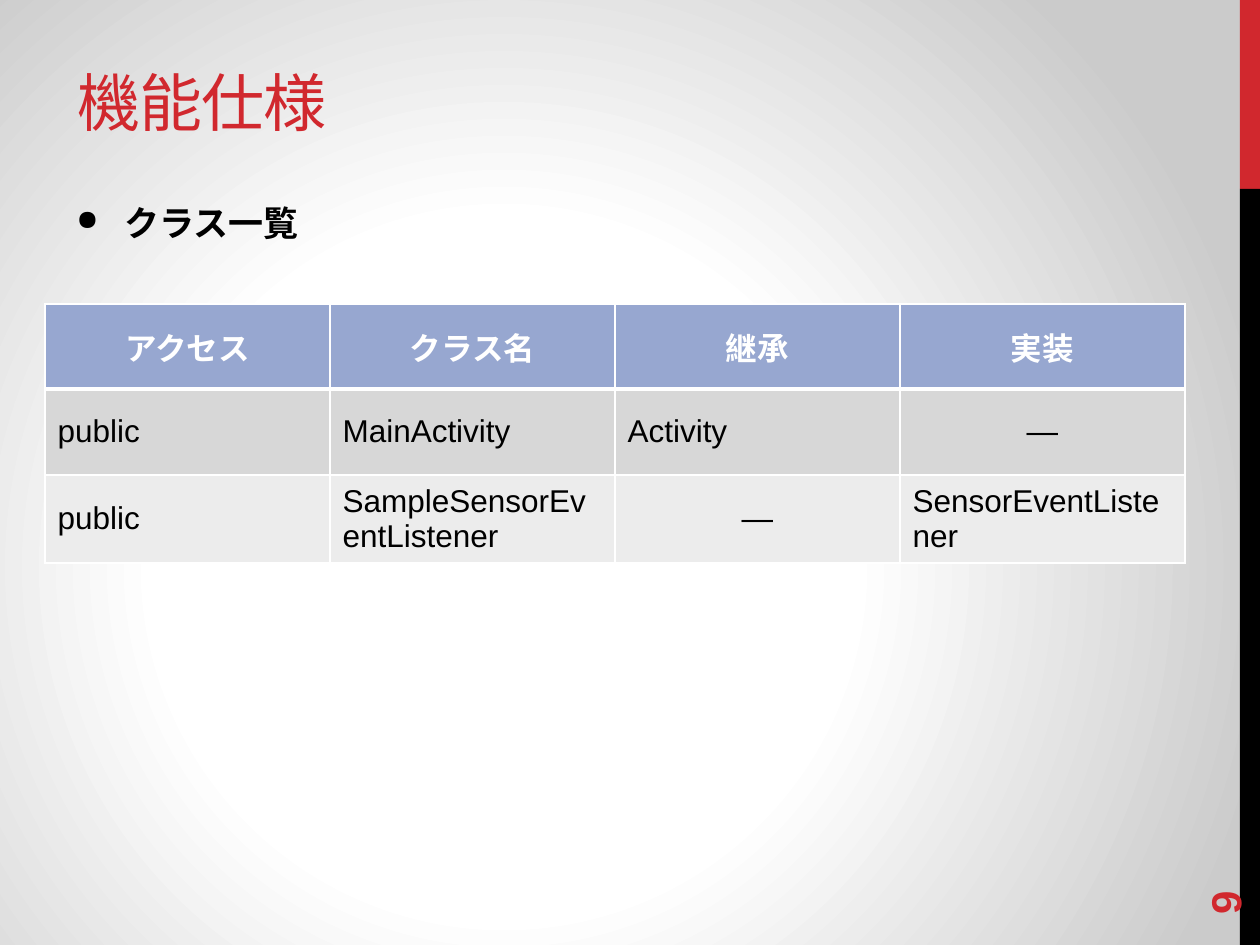
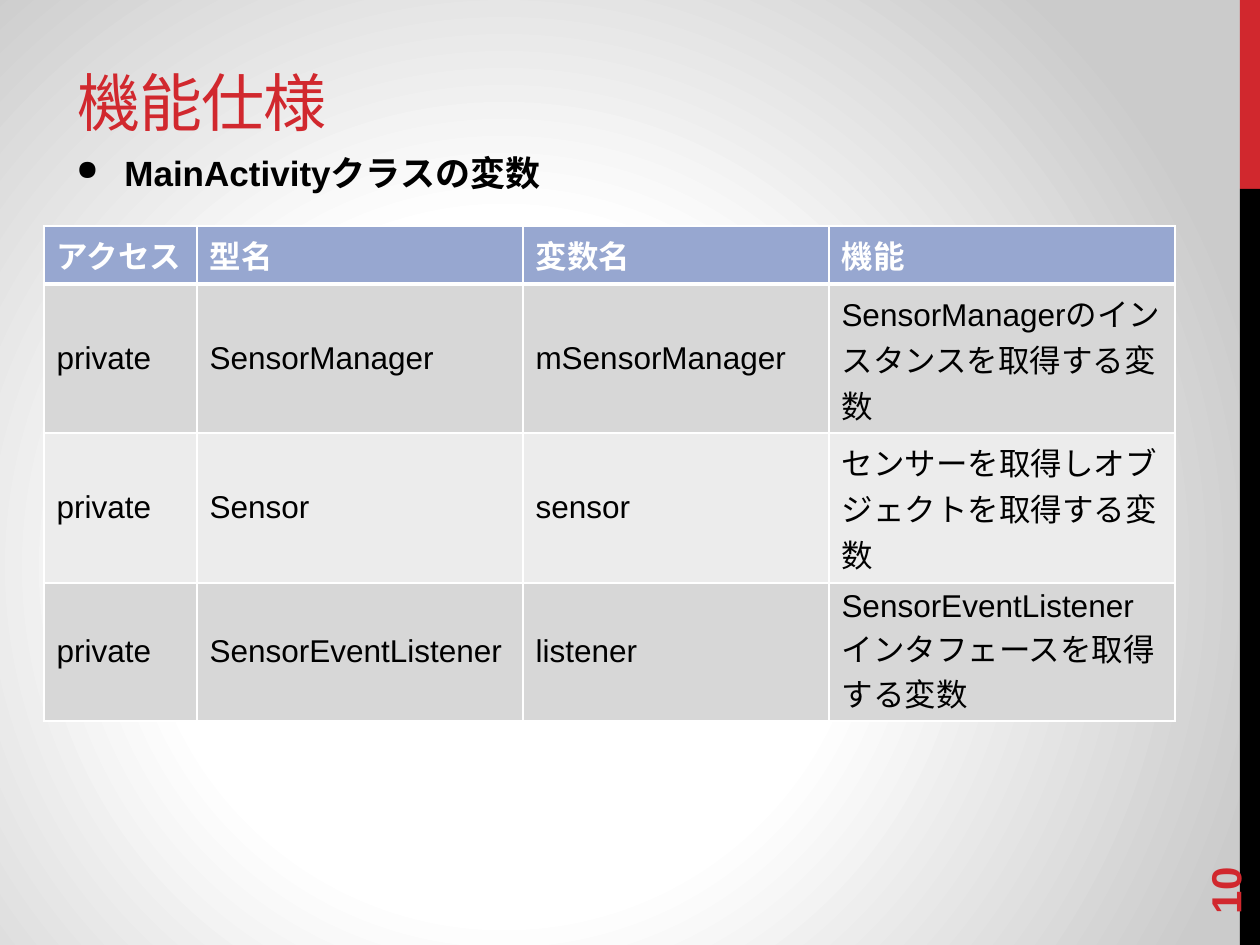
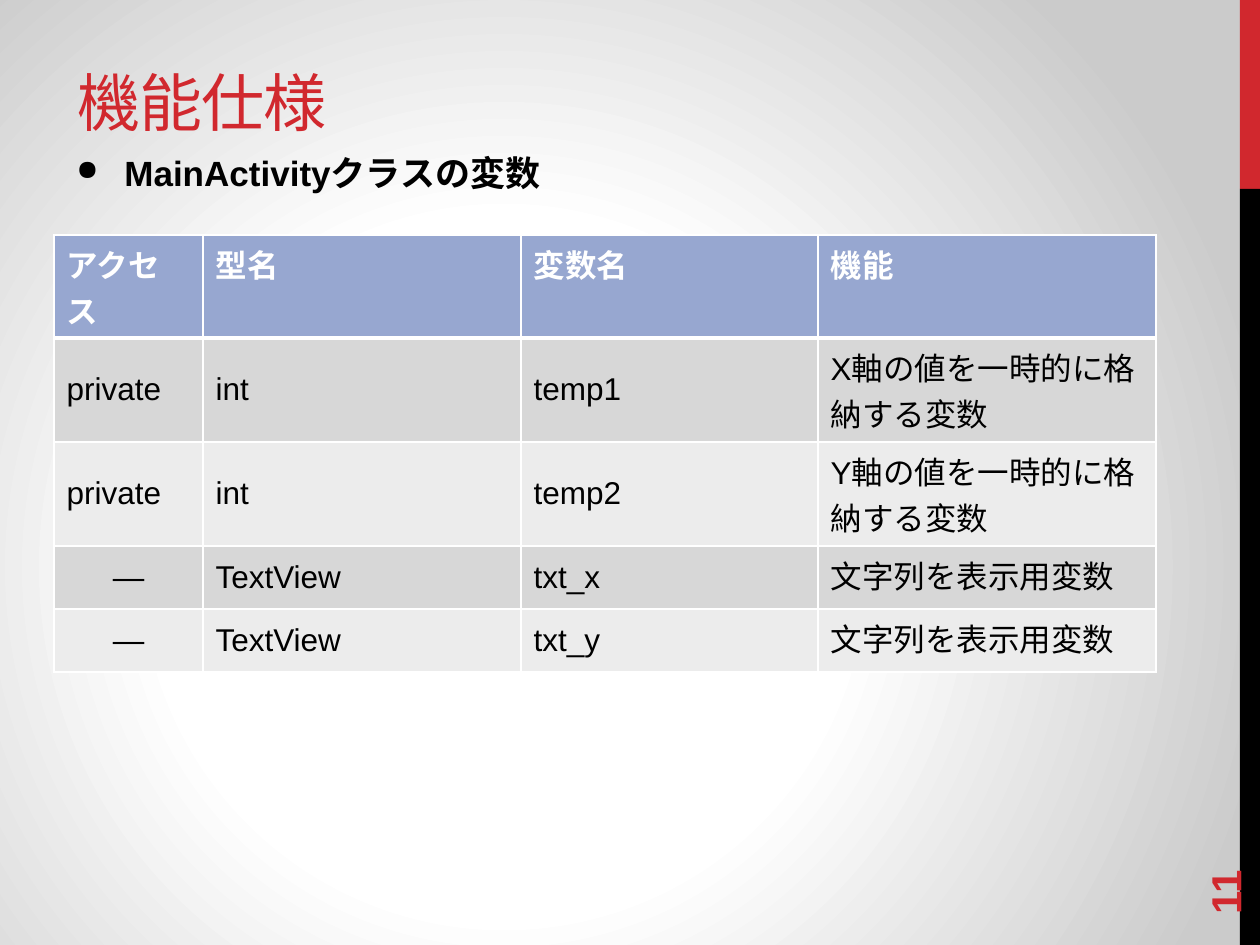
from lxml import etree
from pptx import Presentation
from pptx import util as u
from pptx.dml.color import RGBColor
from pptx.enum import shapes, text
from pptx.oxml import parse_xml
from pptx.oxml.ns import nsdecls, qn

RED = RGBColor(0xD1, 0x28, 0x2E)
BLACK = RGBColor(0, 0, 0)
WHITE = RGBColor(255, 255, 255)
EDGE_GRAY = RGBColor(0xCB, 0xCB, 0xCB)
HEADER_BLUE = RGBColor(0x97, 0xA7, 0xD0)
BANDS = [RGBColor(0xD7, 0xD7, 0xD7), RGBColor(0xEC, 0xEC, 0xEC)]
BODY_FONT = "Arial"
TITLE_FONT = "Montserrat"
DASH = "―"
PX = 914400 // 126

TITLE = "機能仕様"
FIRST_NUMBER = 9
SIDE_BARS = [(0, 189, RED), (189, 756, BLACK)]
GRADIENT_STOPS = [(0, WHITE), (44, WHITE), (100, EDGE_GRAY)]
VARIABLE_HEADER = ["アクセス", "型名", "変数名", "機能"]

SLIDES = [
    {
        "heading": "クラス一覧", "heading_top": 195,
        "table_at": (45, 304), "columns": [285] * 4, "heights": [85, 86, 86],
        "centred_header": True, "top_columns": [],
        "rows": [
            ["アクセス", "クラス名", "継承", "実装"],
            ["public", "MainActivity", "Activity", DASH],
            ["public", "SampleSensorEventListener", DASH, "SensorEventListener"],
        ],
    },
    {
        "heading": "MainActivityクラスの変数", "heading_top": 145,
        "table_at": (44, 226), "columns": [153, 326, 306, 346], "heights": [58, 149, 150, 138],
        "centred_header": False, "top_columns": [3],
        "rows": [
            VARIABLE_HEADER,
            ["private", "SensorManager", "mSensorManager", "SensorManagerのインスタンスを取得する変数"],
            ["private", "Sensor", "sensor", "センサーを取得しオブジェクトを取得する変数"],
            ["private", "SensorEventListener", "listener", "SensorEventListenerインタフェースを取得する変数"],
        ],
    },
    {
        "heading": "MainActivityクラスの変数", "heading_top": 145,
        "table_at": (54, 235), "columns": [149, 318, 297, 338], "heights": [103, 104, 104, 63, 63],
        "centred_header": False, "top_columns": [3],
        "rows": [
            VARIABLE_HEADER,
            ["private", "int", "temp1", "X軸の値を一時的に格納する変数"],
            ["private", "int", "temp2", "Y軸の値を一時的に格納する変数"],
            [DASH, "TextView", "txt_x", "文字列を表示用変数"],
            [DASH, "TextView", "txt_y", "文字列を表示用変数"],
        ],
    },
]


def px(*lengths):
    return [u.Emu(n * PX) for n in lengths]


def set_font(p, size, color, bold=False, name=BODY_FONT):
    for r in p.runs:
        r.font.size = u.Pt(size)
        r.font.name = name
        r.font.bold = bold
        r.font.color.rgb = color


def paint_background(master):
    fill = master.background.fill
    fill.solid()
    stops = "".join(
        f'<a:gs pos="{pos * 1000}"><a:srgbClr val="{color}"/></a:gs>' for pos, color in GRADIENT_STOPS
    )
    gradient = parse_xml(
        f'<a:gradFill {nsdecls("a")} rotWithShape="1"><a:gsLst>{stops}</a:gsLst>'
        '<a:path path="circle"><a:fillToRect l="40000" t="60000" r="60000" b="40000"/></a:path>'
        "</a:gradFill>"
    )
    solid = master.element.find(".//" + qn("p:bgPr")).find(qn("a:solidFill"))
    solid.getparent().replace(solid, gradient)


def add_text(s, box, content, anchor):
    sp = s.shapes.add_textbox(*px(*box))
    tf = sp.text_frame
    tf.word_wrap = True
    tf.vertical_anchor = anchor
    tf.text = content
    return sp, tf.paragraphs[0]


def add_frame(s, number):
    for top, height, color in SIDE_BARS:
        sp = s.shapes.add_shape(shapes.MSO_SHAPE.RECTANGLE, *px(1240, top, 20, height))
        sp.shadow.inherit = False
        sp.fill.solid()
        sp.fill.fore_color.rgb = color
        sp.line.fill.background()
    sp, p = add_text(s, (65, 20, 798, 125), TITLE, text.MSO_ANCHOR.BOTTOM)
    set_font(p, 36, RED, name=TITLE_FONT)
    p.runs[0].font._element.set("spc", "-60")
    sp, p = add_text(s, (1134, 811, 181, 50), str(number), text.MSO_ANCHOR.MIDDLE)
    set_font(p, 24, RED, bold=True)
    sp.rotation = 270


def add_heading(s, content, top):
    sp, p = add_text(s, (64, top, 1050, 602), content, text.MSO_ANCHOR.TOP)
    pPr = p._p.get_or_add_pPr()
    pPr.set("marL", str(48 * PX))
    pPr.set("indent", str(-48 * PX))
    etree.SubElement(pPr, qn("a:buSzPct")).set("val", "80000")
    etree.SubElement(pPr, qn("a:buChar")).set("char", "●")
    p.space_after = u.Pt(6)
    set_font(p, 20, BLACK, bold=True)


def set_borders(cell, top, bottom):
    tcPr = cell._tc.get_or_add_tcPr()
    for side, width in (("L", 1), ("R", 1), ("T", top), ("B", bottom)):
        tcPr.append(parse_xml(
            f'<a:ln{side} {nsdecls("a")} w="{u.Pt(width)}"><a:solidFill>'
            f'<a:srgbClr val="{WHITE}"/></a:solidFill></a:ln{side}>'
        ))


def add_grid(s, spec):
    rows, columns, heights = spec["rows"], spec["columns"], spec["heights"]
    table = s.shapes.add_table(
        len(rows), len(columns), *px(*spec["table_at"], sum(columns), sum(heights))
    ).table
    table.horz_banding = False
    for column, width in zip(table.columns, px(*columns)):
        column.width = width
    for row, height in zip(table.rows, px(*heights)):
        row.height = height
    for i, values in enumerate(rows):
        header = i == 0
        for j, value in enumerate(values):
            cell = table.cell(i, j)
            set_borders(cell, 3 if i == 1 else 1, 3 if header else 1)
            cell.fill.solid()
            cell.fill.fore_color.rgb = HEADER_BLUE if header else BANDS[(i - 1) % 2]
            at_top = not spec["centred_header"] if header else j in spec["top_columns"]
            cell.vertical_anchor = text.MSO_ANCHOR.TOP if at_top else text.MSO_ANCHOR.MIDDLE
            cell.text = value
            p = cell.text_frame.paragraphs[0]
            if value == DASH or (header and spec["centred_header"]):
                p.alignment = text.PP_ALIGN.CENTER
            set_font(p, 18, WHITE if header else BLACK, bold=header)


def main():
    prs = Presentation()
    prs.slide_width, prs.slide_height = px(1260, 945)
    paint_background(prs.slide_master)
    for number, spec in enumerate(SLIDES, FIRST_NUMBER):
        s = prs.slides.add_slide(prs.slide_layouts[6])
        add_frame(s, number)
        add_heading(s, spec["heading"], spec["heading_top"])
        add_grid(s, spec)
    prs.save("out.pptx")


if __name__ == "__main__":
    main()
